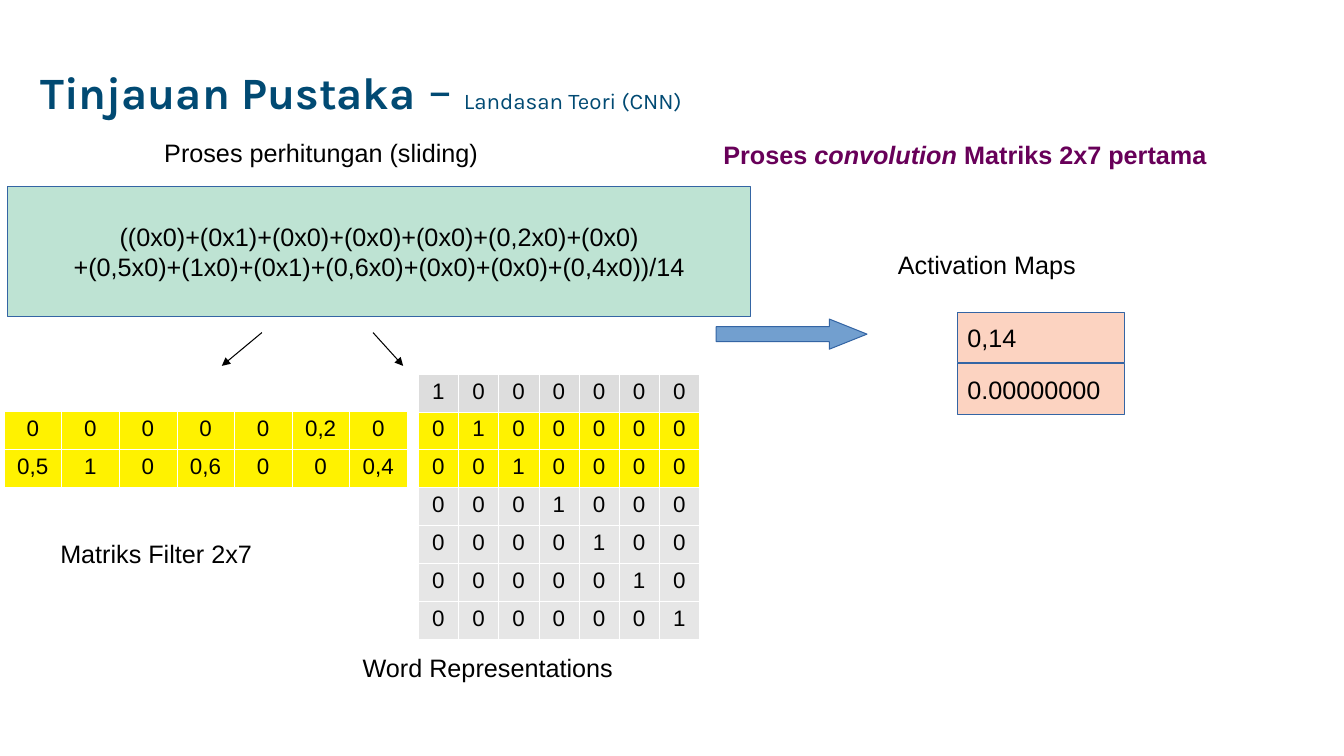
import pptx
import pptx.util
import pptx.dml.color
import pptx.enum.shapes
import pptx.enum.text
import pptx.oxml
import pptx.oxml.ns
from dataclasses import dataclass
from lxml import etree

Cm, Pt = pptx.util.Cm, pptx.util.Pt
SHAPE = pptx.enum.shapes.MSO_SHAPE
ALIGN = pptx.enum.text.PP_ALIGN
ANCHOR = pptx.enum.text.MSO_ANCHOR
qn = pptx.oxml.ns.qn


@dataclass(frozen=True)
class Theme:
    title_font: str = "Karla"
    body_font: str = "Arial"
    title: str = "014A73"
    accent: str = "680059"
    ink: str = "000000"
    outline: str = "3465A4"
    formula: str = "BEE3D3"
    arrow: str = "729FCF"
    activation: str = "FCD3C1"
    window: str = "FFF200"
    head_row: str = "DDDDDD"
    row: str = "E6E6E6"
    grid: str = "FFFFFF"
    title_size: int = 32
    dash_size: int = 36
    subtitle_size: int = 16
    body_size: int = 18
    cell_size: int = 16
    line_width: float = 0.75
    grid_width: float = 0.06


def rgb(value):
    return pptx.dml.color.RGBColor.from_string(value)


def add_run(p, text, *, font, size, color, bold=False, italic=False):
    r = p.add_run()
    r.text = text
    r.font.name, r.font.size = font, Pt(size)
    r.font.bold, r.font.italic = bold, italic
    r.font.color.rgb = rgb(color)


class SlideBuilder:
    def __init__(self, prs, theme):
        self.theme = theme
        self.s = prs.slides.add_slide(prs.slide_layouts[5])

    def body(self, p, text, **changes):
        t = self.theme
        style = dict(font=t.body_font, size=t.body_size, color=t.ink)
        add_run(p, text, **{**style, **changes})

    def title(self, box, runs):
        sp = self.s.shapes.title
        sp.left, sp.top, sp.width, sp.height = map(Cm, box)
        tf = sp.text_frame
        tf.auto_size = pptx.enum.text.MSO_AUTO_SIZE.NONE
        tf.word_wrap, tf.vertical_anchor = True, ANCHOR.MIDDLE
        p = tf.paragraphs[0]
        p.alignment, p.line_spacing = ALIGN.LEFT, 0.9
        for text, size, bold in runs:
            self.body(p, text, font=self.theme.title_font, size=size,
                      color=self.theme.title, bold=bold)

    def label(self, box, *runs):
        tf = self.s.shapes.add_textbox(*map(Cm, box)).text_frame
        tf.word_wrap = True
        for text, style in runs:
            self.body(tf.paragraphs[0], text, **style)

    def shape(self, kind, box, fill, lines=(), align=ALIGN.LEFT):
        sp = self.s.shapes.add_shape(kind, *map(Cm, box))
        sp.shadow.inherit = False
        sp.fill.solid()
        sp.fill.fore_color.rgb = rgb(fill)
        sp.line.color.rgb = rgb(self.theme.outline)
        sp.line.width = Pt(self.theme.line_width)
        tf = sp.text_frame
        tf.word_wrap, tf.vertical_anchor = True, ANCHOR.MIDDLE
        for i, text in enumerate(lines):
            p = tf.add_paragraph() if i else tf.paragraphs[0]
            p.alignment = align
            self.body(p, text)
        return sp

    def pointer(self, x1, y1, x2, y2):
        line = self.s.shapes.add_connector(
            pptx.enum.shapes.MSO_CONNECTOR.STRAIGHT, *map(Cm, (x1, y1, x2, y2)))
        line.line.color.rgb = rgb(self.theme.ink)
        line.line.width = Pt(self.theme.line_width)
        etree.SubElement(line.line._get_or_add_ln(), qn("a:tailEnd"), type="triangle")
        etree.SubElement(line._element.spPr, qn("a:effectLst"))

    def matrix(self, box, values, fills):
        table = self.s.shapes.add_table(
            len(values), len(values[0]), *map(Cm, box)).table
        table.first_row = table.horz_banding = False
        for column in table.columns:
            column.width = Cm(box[2] / len(values[0]))
        for r, (row, fill) in enumerate(zip(values, fills)):
            table.rows[r].height = Cm(box[3] / len(values))
            for c, text in enumerate(row):
                self.cell(table.cell(r, c), text, fill)

    def cell(self, cell, text, fill):
        p = cell.text_frame.paragraphs[0]
        p.alignment = ALIGN.CENTER
        self.body(p, text, size=self.theme.cell_size)
        # Borders come before the fill in the cell properties
        tcPr = cell._tc.get_or_add_tcPr()
        for side in ("a:lnL", "a:lnR", "a:lnT", "a:lnB"):
            ln = etree.SubElement(tcPr, qn(side), w=str(Pt(self.theme.grid_width)))
            solid = etree.SubElement(ln, qn("a:solidFill"))
            etree.SubElement(solid, qn("a:srgbClr"), val=self.theme.grid)
        cell.fill.solid()
        cell.fill.fore_color.rgb = rgb(fill)


def main():
    prs = pptx.Presentation()
    prs.slide_width, prs.slide_height = Cm(33.87), Cm(19.05)
    t = Theme()
    s = SlideBuilder(prs, t)

    # Title
    s.title((0.76, 0.51, 19.05, 3.68),
            [("Tinjauan Pustaka", t.title_size, True),
             (" – ", t.dash_size, False),
             ("Landasan Teori (CNN)", t.subtitle_size, False)])

    # Word matrix (identity) and filter matrix
    n = 7
    identity = [["1" if r == c else "0" for c in range(n)] for r in range(n)]
    s.matrix((10.54, 9.42, 7.09, 6.68), identity,
             [t.head_row] + [t.window] * 2 + [t.row] * 4)
    weights = ["0 0 0 0 0 0,2 0".split(), "0,5 1 0 0,6 0 0 0,4".split()]
    s.matrix((0.1, 10.37, 10.16, 1.9), weights, [t.window] * 2)

    # Sliding formula and result arrow
    s.shape(SHAPE.RECTANGLE, (0.2, 4.7, 18.72, 3.28), t.formula,
            ["((0x0)+(0x1)+(0x0)+(0x0)+(0x0)+(0,2x0)+(0x0)",
             "+(0,5x0)+(1x0)+(0x1)+(0,6x0)+(0x0)+(0x0)+(0,4x0))/14"], ALIGN.CENTER)
    arrow = s.shape(SHAPE.RIGHT_ARROW, (18.05, 8.04, 3.8, 0.76), t.arrow)
    arrow.adjustments[0], arrow.adjustments[1] = 0.5, 1.25

    # Activation values
    for i, value in enumerate(("0,14", "0.00000000")):
        s.shape(SHAPE.RECTANGLE, (24.13, 7.87 + 1.3 * i, 4.2, 1.27),
                t.activation, [value])

    # Pointers from the formula to both matrices
    s.pointer(6.6, 8.38, 5.59, 9.22)
    s.pointer(9.4, 8.38, 10.16, 9.22)

    # Labels
    for x, y, w, text in ((1.27, 13.44, 6.7, "Matriks Filter 2x7"),
                          (8.89, 16.31, 8.48, "Word Representations"),
                          (3.89, 3.33, 9.63, "Proses perhitungan (sliding)"),
                          (22.38, 6.15, 6.12, "Activation Maps")):
        s.label((x, y, w, 0.97), (text, {}))
    accent = dict(color=t.accent, bold=True)
    s.label((17.98, 3.38, 15.6, 1.68), ("Proses ", accent),
            ("convolution", {**accent, "italic": True}),
            (" Matriks 2x7 pertama", accent))

    prs.save("out.pptx")


if __name__ == "__main__":
    main()
